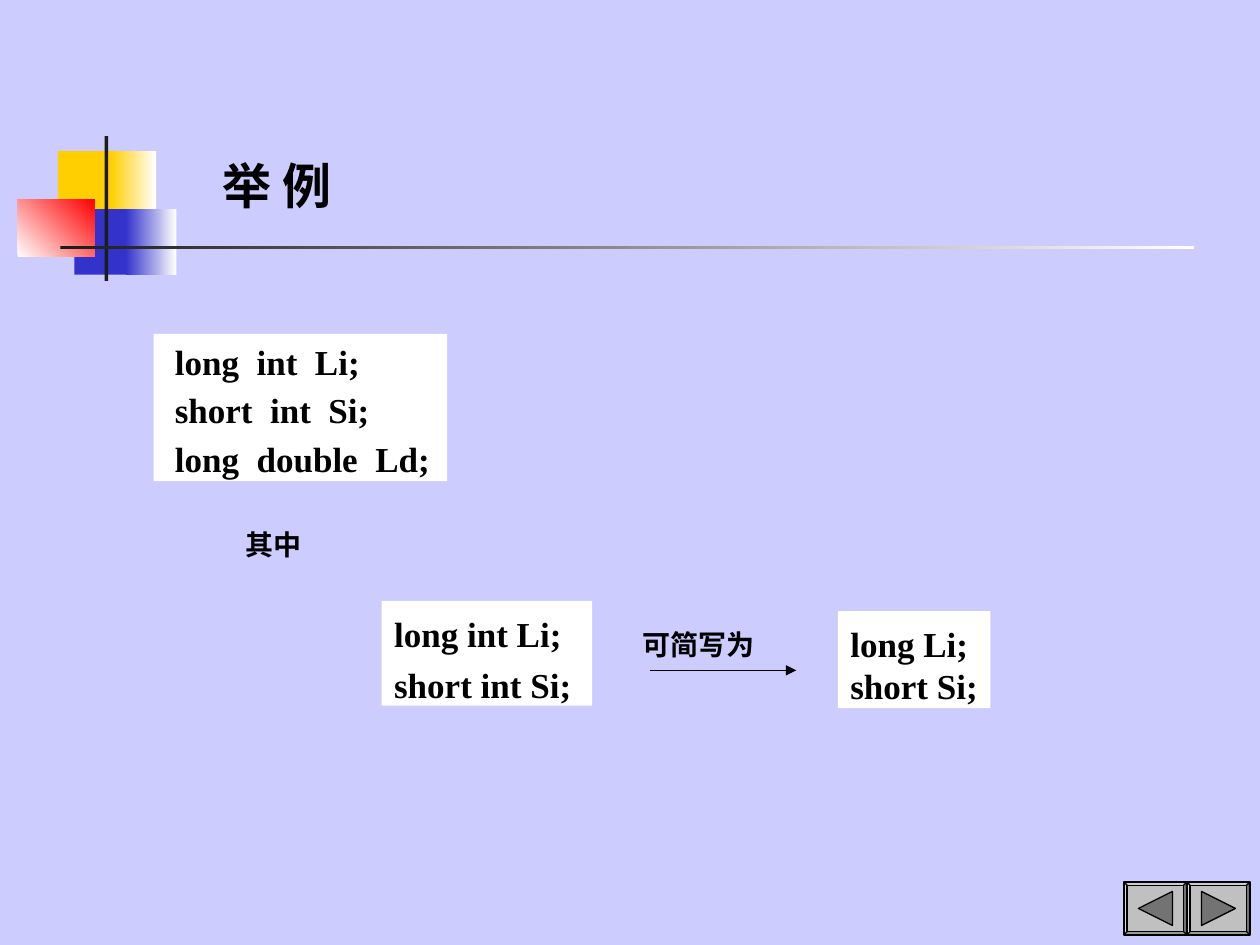
from lxml.etree import SubElement
from pptx import Presentation
from pptx.dml.color import RGBColor
from pptx.enum.shapes import MSO_CONNECTOR, MSO_SHAPE
from pptx.enum.text import MSO_ANCHOR
from pptx.oxml.ns import qn
from pptx.util import Inches, Pt

BACKGROUND, BLACK, WHITE = "CCCCFF", "000000", "FFFFFF"
YELLOW, BLUE, RED, DARK = "FFCF01", "3333CC", "FF0000", "1C1C1C"
SERIF, CHINESE, TITLE_FONT = "Times New Roman", "Noto Sans CJK SC", "Cabin"

ORNAMENT = [
    ((0.46, 1.2, 0.48, 0.52), (YELLOW,), 0),
    ((0.88, 1.2, 0.36, 0.52), (YELLOW, WHITE), 0),
    ((0.59, 1.66, 0.46, 0.52), (BLUE,), 0),
    ((1, 1.66, 0.4, 0.52), (BLUE, WHITE), 0),
    ((0.14, 1.58, 0.61, 0.46), (WHITE, RED), 45),
    ((0.83, 1.08, 0.03, 1.15), (DARK,), 0),
    ((0.48, 1.95, 9, 0.03), (DARK, WHITE), 0),
]
CODE_BOXES = [
    ((1.22, 2.65, 2.33, 1.17), [" long  int  Li;", " short  int  Si;", " long  double  Ld;"],
     {"gap": 6, "spacing": 0.9}),
    ((3.03, 4.77, 1.67, 0.83), ["long int Li;", "short int Si;"], {"gap": 5}),
    ((6.65, 4.85, 1.21, 0.77), ["long Li;", "short Si;"], {}),
]
LABELS = [
    ((1.67, 1.25, 1.33, 0.5), "举 例",
     {"size": 28, "font": TITLE_FONT, "anchor": MSO_ANCHOR.BOTTOM}),
    ((5, 4.93, 1.18, 0.37), "可简写为", {"size": 16, "font": CHINESE}),
    ((1.85, 4.14, 0.64, 0.37), "其中", {"size": 16, "font": CHINESE}),
]
ARROW = (5.16, 5.32, 6.32, 5.32)
BUTTONS = [(8.92, 270), (9.42, 90)]
BUTTON_TOP, BUTTON_WIDTH, BUTTON_HEIGHT, TRIANGLE = 7, 0.5, 0.42, 0.27


def color(value):
    return RGBColor.from_string(value)


def add_block(slide, box, colors, angle=0, kind=MSO_SHAPE.RECTANGLE, line=None):
    shape = slide.shapes.add_shape(kind, *map(Inches, box))
    shape.shadow.inherit = False
    if len(colors) == 1:
        shape.fill.solid()
        shape.fill.fore_color.rgb = color(colors[0])
    else:
        shape.fill.gradient()
        shape.fill.gradient_angle = angle
        for stop, value in zip(shape.fill.gradient_stops, colors):
            stop.color.rgb = color(value)
    if line:
        shape.line.color.rgb = color(line)
        shape.line.width = Pt(0.75)
    else:
        shape.line.fill.background()
    return shape


def add_text(slide, box, lines, size=20, font=SERIF, gap=0, spacing=1.0,
             anchor=MSO_ANCHOR.TOP, top=0.05, bottom=0.05, fill=None):
    shape = slide.shapes.add_textbox(*map(Inches, box))
    if fill:
        shape.fill.solid()
        shape.fill.fore_color.rgb = color(fill)
    frame = shape.text_frame
    frame.word_wrap = False
    frame.vertical_anchor = anchor
    frame.margin_top, frame.margin_bottom = Inches(top), Inches(bottom)
    for index, line in enumerate(lines):
        paragraph = frame.paragraphs[0] if index == 0 else frame.add_paragraph()
        paragraph.line_spacing = spacing
        paragraph.space_before = Pt(gap if index else 0)
        run = paragraph.add_run()
        run.text = line
        run.font.size, run.font.bold, run.font.name = Pt(size), True, font
        run.font.color.rgb = color(BLACK)
        SubElement(run.font._element, qn("a:ea"), typeface=CHINESE)


def add_arrow(slide, ends):
    arrow = slide.shapes.add_connector(MSO_CONNECTOR.STRAIGHT, *map(Inches, ends))
    arrow.line.color.rgb = color(BLACK)
    arrow.line.width = Pt(0.75)
    SubElement(arrow.line._get_or_add_ln(), qn("a:tailEnd"), type="triangle")
    SubElement(arrow._element.spPr, qn("a:effectLst"))


def add_button(slide, left, rotation):
    frame = add_block(slide, (left, BUTTON_TOP, BUTTON_WIDTH, BUTTON_HEIGHT), ["C0C0C0"],
                      kind=MSO_SHAPE.BEVEL, line=BLACK)
    frame.adjustments[0] = 0.06
    box = (left + (BUTTON_WIDTH - TRIANGLE) / 2,
           BUTTON_TOP + (BUTTON_HEIGHT - TRIANGLE) / 2, TRIANGLE, TRIANGLE)
    triangle = add_block(slide, box, ["737373"], kind=MSO_SHAPE.ISOSCELES_TRIANGLE, line=BLACK)
    triangle.rotation = rotation


def main():
    """Build the slide of shortened C type declarations."""
    presentation = Presentation()
    presentation.slide_width, presentation.slide_height = Inches(10), Inches(7.5)
    slide = presentation.slides.add_slide(presentation.slide_layouts[6])
    slide.background.fill.solid()
    slide.background.fill.fore_color.rgb = color(BACKGROUND)
    for box, colors, angle in ORNAMENT:
        add_block(slide, box, colors, angle)
    for box, lines, style in CODE_BOXES:
        add_text(slide, box, lines, top=0.09, bottom=0, fill=WHITE, **style)
    for box, label, style in LABELS:
        add_text(slide, box, [label], **style)
    add_arrow(slide, ARROW)
    for left, rotation in BUTTONS:
        add_button(slide, left, rotation)
    presentation.save("out.pptx")


if __name__ == "__main__":
    main()
